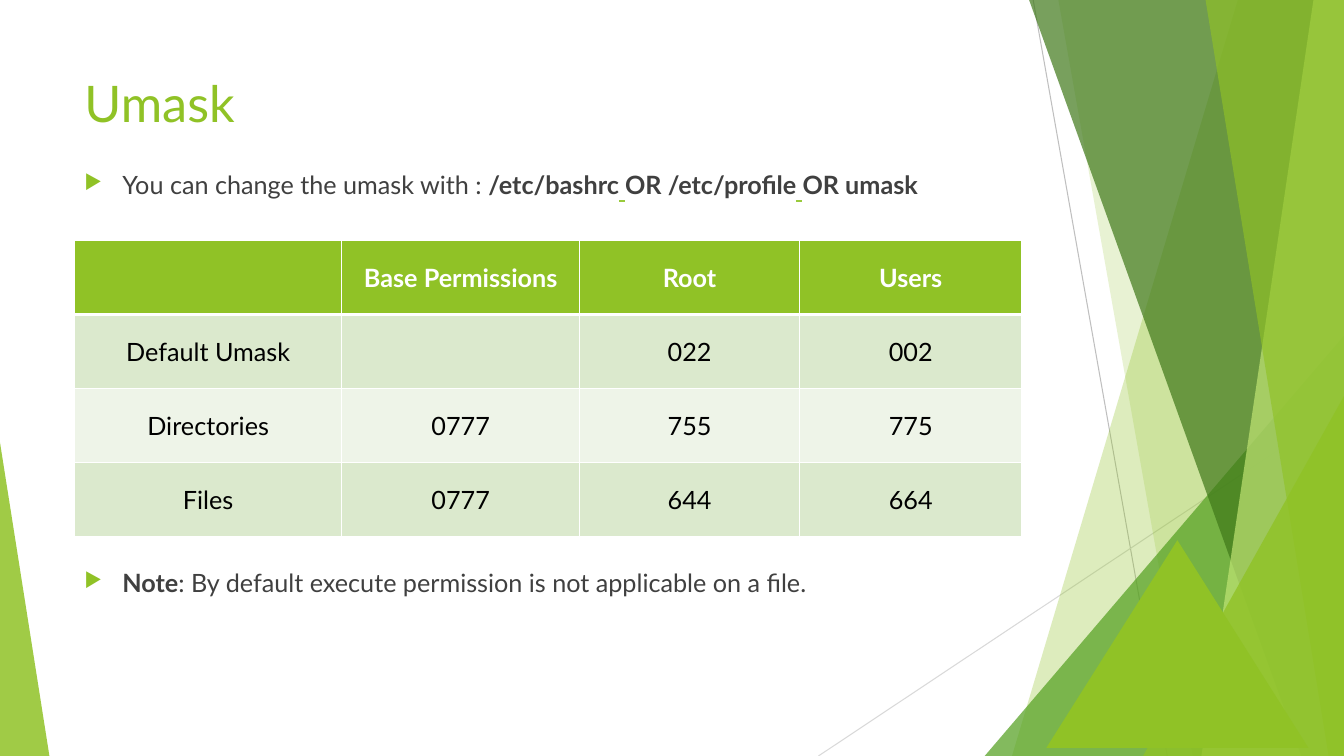
from lxml.etree import SubElement as Sub
from pptx import Presentation
from pptx.dml.color import RGBColor as RGB
from pptx.enum.shapes import MSO_CONNECTOR as Link, MSO_SHAPE as Form
from pptx.enum.text import MSO_ANCHOR as Anchor, PP_ALIGN as Align
from pptx.oxml import parse_xml
from pptx.oxml.ns import nsdecls, qn
from pptx.util import Pt

LIME = RGB(0x90, 0xC2, 0x26)
GREEN = RGB(0x54, 0xA0, 0x21)
DARK = RGB(0x3F, 0x78, 0x19)
PALE = RGB(0xC0, 0xE4, 0x74)
LINK = RGB(0x99, 0xCA, 0x3C)
GREY = RGB(0x40, 0x40, 0x40)
SILVER = RGB(0xBF, 0xBF, 0xBF)
MIST = RGB(0xD9, 0xD9, 0xD9)
BAND = RGB(0xDB, 0xE9, 0xCD)
LIGHT = RGB(0xEE, 0xF4, 0xE8)
WHITE = RGB(0xFF, 0xFF, 0xFF)
BLACK = RGB(0, 0, 0)

WIDE, HIGH = 960, 540
LEFT, SPAN = 53.3, 676.8


def paint(shape, color, alpha):
    shape.shadow.inherit = False
    shape.line.fill.background()
    shape.fill.solid()
    shape.fill.fore_color.rgb = color
    if alpha < 100:
        tint = shape.fill._xPr.find(qn("a:solidFill"))[0]
        Sub(tint, qn("a:alpha"), val=str(alpha * 1000))


def write(para, text, color, **style):
    run = para.add_run()
    run.text = text
    run.font.color.rgb = color
    for key, value in {"name": "Lato", "size": Pt(18), **style}.items():
        setattr(run.font, key, value)


deck = Presentation()
deck.slide_width, deck.slide_height = Pt(WIDE), Pt(HIGH)
slide = deck.slides.add_slide(deck.slide_layouts[6])
shapes = slide.shapes

# Thin lines behind the facets
for x1, y1, x2, color in [(738, 0, 833.8, SILVER), (WIDE, 290.2, 584.6, MIST)]:
    line = shapes.add_connector(Link.STRAIGHT, Pt(x1), Pt(y1), Pt(x2), Pt(HIGH))
    line.line.color.rgb = color
    line.line.width = Pt(0.75)
    Sub(line._element.spPr, qn("a:effectLst"))

# Facets: bands from the top to the right edge, and triangles
facets = [
    ("band", 884.2, 722.9, LIME, 30),
    ("band", 756, 851.8, LIME, 20),
    ("wedge", 703.4, 239.8, 256.6, 1, GREEN, 72),
    ("band", 735.1, 929.5, DARK, 70),
    ("band", 938.2, 858.2, PALE, 70),
    ("band", 861.1, 949, LIME, 65),
    ("wedge", 816.5, 283, 143.5, 1, LIME, 80),
    ("wedge", 0, 316.1, 35.3, 0, LIME, 85),
]
for kind, *spot, color, alpha in facets:
    if kind == "band":
        top, foot = spot
        pen = shapes.build_freeform(Pt(top), Pt(0))
        pen.add_line_segments(
            [(Pt(x), Pt(y)) for x, y in [(WIDE, 0), (WIDE, HIGH), (foot, HIGH)]]
        )
        facet = pen.convert_to_shape()
    else:
        x, y, width, peak = spot
        facet = shapes.add_shape(
            Form.ISOSCELES_TRIANGLE, Pt(x), Pt(y), Pt(width), Pt(HIGH - y)
        )
        facet.adjustments[0] = peak
    paint(facet, color, alpha)

# Title and bullets
bold = {"bold": True}
under = {"bold": True, "underline": True}
texts = [
    (48.2, 104, False, [("Umask", LIME, {"size": Pt(36)})]),
    (117.4, 40, True, [
        ("You can change the umask with : ", GREY, {}),
        ("/etc/bashrc", GREY, bold),
        (" ", LINK, under),
        ("OR /etc/profile", GREY, bold),
        (" ", LINK, under),
        ("OR umask", GREY, bold),
    ]),
    (401.8, 40, True, [
        ("Note", GREY, bold),
        (": By default execute permission is not applicable on a file.", GREY, {}),
    ]),
]
for top, height, listed, runs in texts:
    box = shapes.add_textbox(Pt(LEFT), Pt(top), Pt(SPAN), Pt(height))
    box.text_frame.word_wrap = True
    para = box.text_frame.paragraphs[0]
    for text, color, style in runs:
        write(para, text, color, **style)
    if listed:
        props = para._p.get_or_add_pPr()
        props.set("marL", str(Pt(27)))
        props.set("indent", str(Pt(-27)))
        Sub(Sub(props, qn("a:buClr")), qn("a:srgbClr"), val=str(LIME))
        Sub(props, qn("a:buSzPct"), val="80000")
        Sub(props, qn("a:buChar"), char="▶")

# Permission table
rows = [
    ["", "Base Permissions", "Root", "Users"],
    ["Default Umask", "", "022", "002"],
    ["Directories", "0777", "755", "775"],
    ["Files", "0777", "644", "664"],
]
fills = [LIME, BAND, LIGHT, BAND]
table = shapes.add_table(4, 4, Pt(LEFT), Pt(171.7), Pt(SPAN), Pt(212)).table
for col, width in zip(table.columns, [190.8, 170, 157, 159]):
    col.width = Pt(width)
for r, row in enumerate(rows):
    table.rows[r].height = Pt(53)
    for c, text in enumerate(row):
        cell = table.cell(r, c)
        cell.vertical_anchor = Anchor.MIDDLE
        cell.fill.solid()
        cell.fill.fore_color.rgb = fills[r]
        para = cell.text_frame.paragraphs[0]
        para.alignment = Align.CENTER
        if text:
            write(para, text, BLACK if r else WHITE, bold=r == 0)
        for i, side in enumerate("LRTB"):
            thick = (r, side) in [(0, "B"), (1, "T")]
            edge = parse_xml(
                f'<a:ln{side} {nsdecls("a")} w="{Pt(3 if thick else 1)}"><a:solidFill>'
                f'<a:srgbClr val="{WHITE}"/></a:solidFill></a:ln{side}>'
            )
            cell._tc.get_or_add_tcPr().insert(i, edge)

# Front triangle
front = shapes.add_shape(
    Form.ISOSCELES_TRIANGLE, Pt(747.4), Pt(385.9), Pt(187.2), Pt(148.3)
)
paint(front, LIME, 100)

deck.save("out.pptx")
